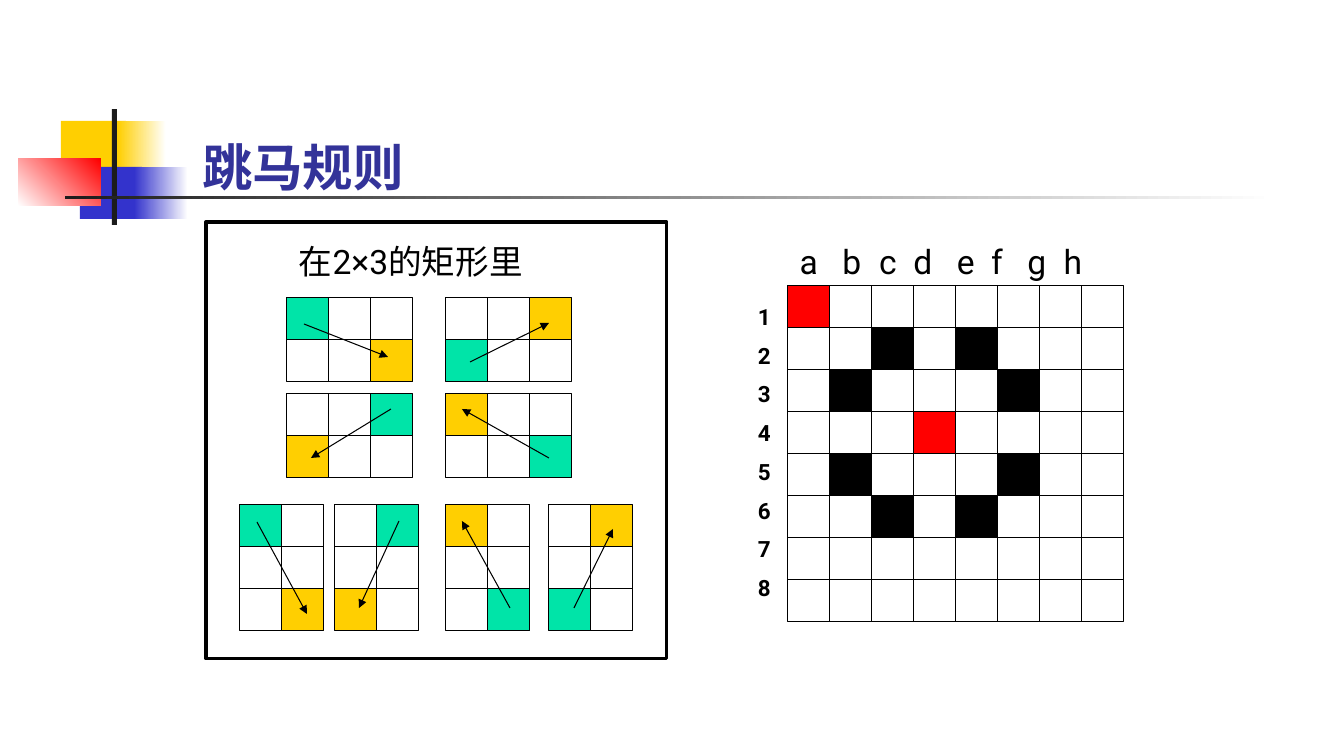
from dataclasses import dataclass

import lxml.etree
import pptx
import pptx.dml.color
import pptx.enum.shapes
import pptx.enum.text
import pptx.oxml.ns
import pptx.shapes.autoshape
import pptx.shapes.shapetree
import pptx.slide
import pptx.text.text
import pptx.util

RGBColor = pptx.dml.color.RGBColor
BLACK = RGBColor(0x00, 0x00, 0x00)
WHITE = RGBColor(0xFF, 0xFF, 0xFF)
CHARCOAL = RGBColor(0x1C, 0x1C, 0x1C)
YELLOW = RGBColor(0xFF, 0xCF, 0x01)
BLUE = RGBColor(0x33, 0x33, 0xCC)
RED = RGBColor(0xFF, 0x00, 0x00)
GREEN = RGBColor(0x00, 0xE4, 0xA8)
TITLE_BLUE = RGBColor(0x33, 0x33, 0x99)

FONT = "Roboto"
PX_PER_INCH = 100.8
CELL = 42

Shapes = pptx.shapes.shapetree.SlideShapes | pptx.shapes.shapetree.GroupShapes
Point = tuple[int, int]


@dataclass(frozen=True)
class Box:
    left: int
    top: int
    width: int
    height: int


@dataclass(frozen=True)
class Block:
    """A decorative block; a fade runs from color to fade_to."""
    box: Box
    color: RGBColor
    fade_to: RGBColor | None = None
    angle: int = 0


@dataclass(frozen=True)
class Move:
    """A knight move: start and target are (column, row) in a small grid."""
    left: int
    top: int
    columns: int
    rows: int
    start: Point
    target: Point
    arrow_from: Point
    arrow_to: Point


BLOCKS = [
    Block(Box(61, 121, 65, 52), YELLOW),
    Block(Box(118, 121, 48, 52), YELLOW, WHITE),
    Block(Box(80, 167, 62, 52), BLUE),
    Block(Box(134, 167, 54, 52), BLUE, WHITE),
    Block(Box(18, 159, 83, 47), WHITE, RED, 45),
    Block(Box(112, 109, 5, 116), CHARCOAL),
    Block(Box(65, 196, 1210, 3), CHARCOAL, WHITE),
]

MOVES = [
    Move(287, 298, 3, 2, (0, 0), (2, 1), (304, 324), (388, 357)),
    Move(446, 298, 3, 2, (0, 1), (2, 0), (470, 362), (549, 323)),
    Move(287, 394, 3, 2, (2, 0), (0, 1), (391, 409), (311, 458)),
    Move(446, 394, 3, 2, (2, 1), (0, 0), (549, 458), (462, 409)),
    Move(240, 505, 2, 3, (0, 0), (1, 2), (257, 522), (307, 614)),
    Move(335, 505, 2, 3, (1, 0), (0, 2), (399, 521), (359, 608)),
    Move(446, 505, 2, 3, (1, 2), (0, 0), (510, 608), (462, 521)),
    Move(549, 505, 2, 3, (0, 2), (1, 0), (574, 608), (613, 529)),
]

BOARD_SIZE = 8
KNIGHT = (3, 3)
KNIGHT_STEPS = [(x, y) for x in (-2, -1, 1, 2) for y in (-2, -1, 1, 2) if abs(x) != abs(y)]
# Letter centres, measured from the left edge of the text
LETTER_CENTERS = [17, 60, 96, 131, 174, 205, 245, 281]


def px(value: int) -> pptx.util.Emu:
    return pptx.util.Inches(value / PX_PER_INCH)


def place(box: Box) -> tuple[pptx.util.Emu, ...]:
    return px(box.left), px(box.top), px(box.width), px(box.height)


def add_rectangle(shapes: Shapes, box: Box, fill: RGBColor | None,
                  line_width: float = 0) -> pptx.shapes.autoshape.Shape:
    shape = shapes.add_shape(pptx.enum.shapes.MSO_SHAPE.RECTANGLE, *place(box))
    shape.shadow.inherit = False
    if fill is None:
        shape.fill.background()
    else:
        shape.fill.solid()
        shape.fill.fore_color.rgb = fill
    if line_width:
        shape.line.color.rgb = BLACK
        shape.line.width = pptx.util.Pt(line_width)
    else:
        shape.line.fill.background()
    return shape


def add_block(shapes: Shapes, block: Block) -> None:
    shape = add_rectangle(shapes, block.box, block.color)
    if block.fade_to is not None:
        shape.fill.gradient()
        shape.fill.gradient_angle = block.angle
        for stop, color in zip(shape.fill.gradient_stops, (block.color, block.fade_to)):
            stop.color.rgb = color


def add_grid(shapes: Shapes, left: int, top: int, columns: int, rows: int,
             fills: dict[Point, RGBColor]) -> None:
    for row in range(rows):
        for column in range(columns):
            box = Box(left + column * CELL, top + row * CELL, CELL, CELL)
            add_rectangle(shapes, box, fills.get((column, row)), 0.75)


def add_arrow(shapes: Shapes, start: Point, end: Point) -> None:
    connector = shapes.add_connector(
        pptx.enum.shapes.MSO_CONNECTOR.STRAIGHT, *map(px, start + end))
    connector.line.color.rgb = BLACK
    connector.line.width = pptx.util.Pt(0.75)
    line = connector.line._get_or_add_ln()
    lxml.etree.SubElement(line, pptx.oxml.ns.qn("a:tailEnd"), type="triangle")
    properties = connector._element.spPr
    lxml.etree.SubElement(properties, pptx.oxml.ns.qn("a:effectLst"))


def add_run(paragraph: pptx.text.text._Paragraph, text: str, size: int,
            color: RGBColor = BLACK, bold: bool = False) -> None:
    run = paragraph.add_run()
    run.text = text
    run.font.name = FONT
    run.font.size = pptx.util.Pt(size)
    run.font.bold = bold
    run.font.color.rgb = color


def add_text(shapes: Shapes, box: Box, lines: list[str], size: int,
             bold: bool = False) -> pptx.text.text.TextFrame:
    frame = shapes.add_textbox(*place(box)).text_frame
    frame.word_wrap = True
    for index, line in enumerate(lines):
        paragraph = frame.add_paragraph() if index else frame.paragraphs[0]
        if index:
            paragraph.space_before = pptx.util.Pt(8.5)
        add_run(paragraph, line, size, bold=bold)
    return frame


def set_center_tabs(paragraph: pptx.text.text._Paragraph, centers: list[int]) -> None:
    properties = paragraph._p.get_or_add_pPr()
    tabs = lxml.etree.SubElement(properties, pptx.oxml.ns.qn("a:tabLst"))
    for center in centers:
        lxml.etree.SubElement(tabs, pptx.oxml.ns.qn("a:tab"), pos=str(px(center)), algn="ctr")


def set_title(slide: pptx.slide.Slide, text: str) -> None:
    title = slide.shapes.title
    title.left, title.top, title.width, title.height = place(Box(192, 139, 428, 54))
    frame = title.text_frame
    frame.auto_size = pptx.enum.text.MSO_AUTO_SIZE.NONE
    frame.vertical_anchor = pptx.enum.text.MSO_ANCHOR.MIDDLE
    paragraph = frame.paragraphs[0]
    paragraph.alignment = pptx.enum.text.PP_ALIGN.LEFT
    add_run(paragraph, text, 36, TITLE_BLUE, bold=True)


def main() -> None:
    presentation = pptx.Presentation()
    presentation.slide_width, presentation.slide_height = px(1344), px(756)
    slide = presentation.slides.add_slide(presentation.slide_layouts[5])

    # Title and its decoration
    for block in BLOCKS:
        add_block(slide.shapes, block)
    set_title(slide, "跳马规则")

    # Chessboard with the squares a knight can reach
    board = slide.shapes.add_group_shape().shapes
    letters = "".join(f"\t{letter}" for letter in "abcdefgh")
    letter_frame = add_text(board, Box(782, 236, 364, 50), [letters], 24)
    set_center_tabs(letter_frame.paragraphs[0], LETTER_CENTERS)
    numbers = [str(number) for number in range(1, BOARD_SIZE + 1)]
    add_text(board, Box(748, 298, 33, 323), numbers, 16, bold=True)
    squares = {(KNIGHT[0] + x, KNIGHT[1] + y): BLACK for x, y in KNIGHT_STEPS}
    squares |= {(0, 0): RED, KNIGHT: RED}
    add_grid(board, 788, 286, BOARD_SIZE, BOARD_SIZE, squares)

    # The eight knight moves
    add_text(slide.shapes, Box(289, 236, 306, 50), ["在2×3的矩形里"], 24)
    examples = slide.shapes.add_group_shape().shapes
    for move in MOVES:
        add_grid(examples, move.left, move.top, move.columns, move.rows,
                 {move.start: GREEN, move.target: YELLOW})
        add_arrow(examples, move.arrow_from, move.arrow_to)
    add_rectangle(slide.shapes, Box(206, 222, 461, 437), None, 2.25)

    presentation.save("out.pptx")


if __name__ == "__main__":
    main()
